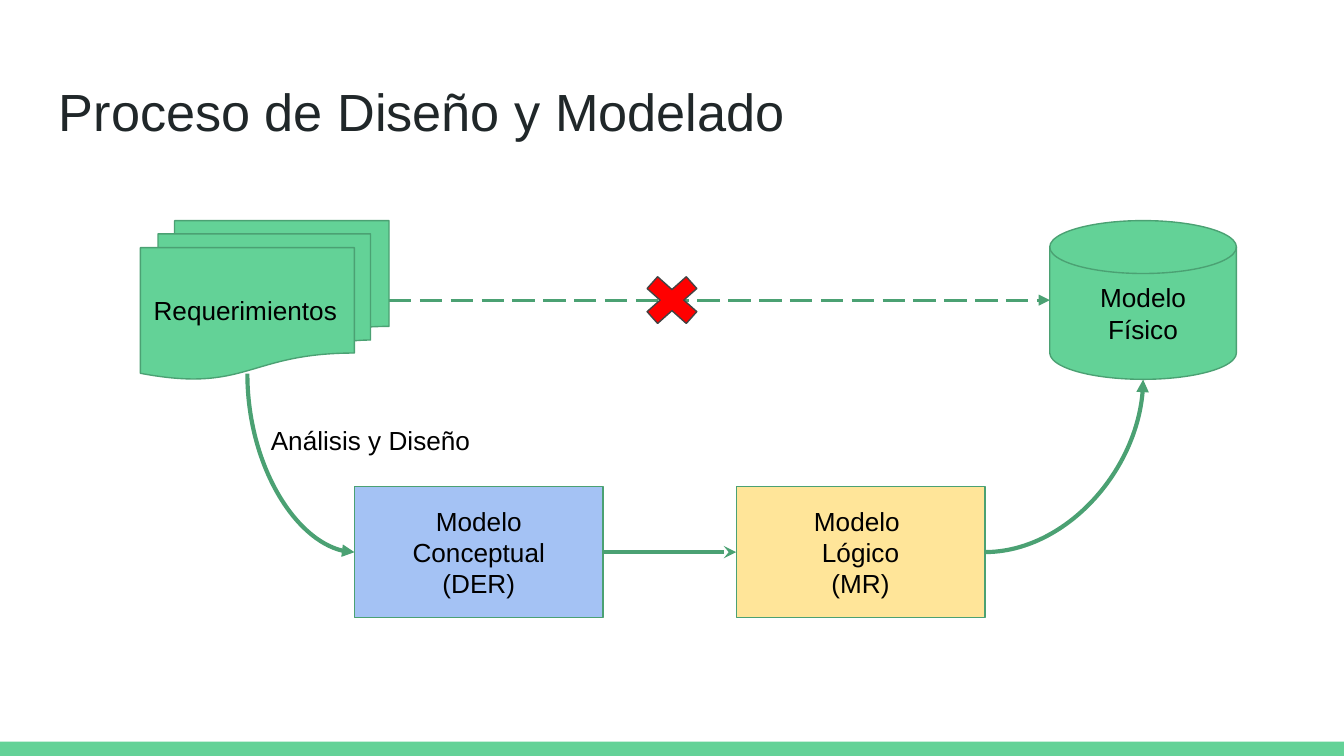
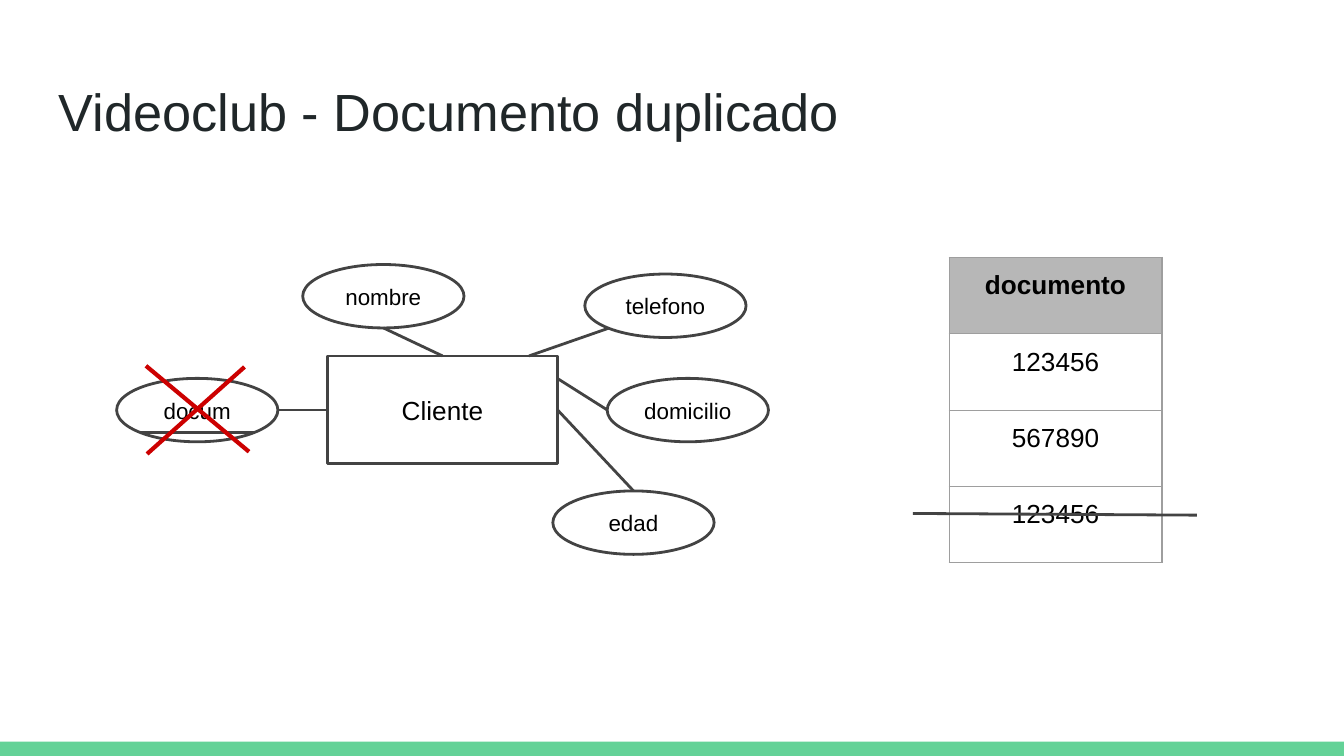
from lxml import etree
from pptx import Presentation
from pptx.dml.color import RGBColor
from pptx.enum.dml import MSO_LINE
from pptx.enum.shapes import MSO_CONNECTOR, MSO_SHAPE
from pptx.enum.text import MSO_ANCHOR, PP_ALIGN
from pptx.oxml.ns import qn
from pptx.util import Pt

RECT = MSO_SHAPE.RECTANGLE
OVAL = MSO_SHAPE.OVAL
DOCUMENTS = MSO_SHAPE.FLOWCHART_MULTIDOCUMENT
DISK = MSO_SHAPE.FLOWCHART_MAGNETIC_DISK
CROSS = MSO_SHAPE.MATH_MULTIPLY
STRAIGHT = MSO_CONNECTOR.STRAIGHT
CURVE = MSO_CONNECTOR.CURVE
LONG_DASH = MSO_LINE.LONG_DASH
MIDDLE = MSO_ANCHOR.MIDDLE
TOP_ANCHOR = MSO_ANCHOR.TOP
CENTER = PP_ALIGN.CENTER
LEFT_ALIGN = PP_ALIGN.LEFT
TOP, LEFT, BOTTOM, RIGHT = range(4)

WIDTH, HEIGHT = 720, 405
BAND_HEIGHT = 7.6
INSET = 7.2
FONT = "Arial"
COLORS = {
    "green": "63D297",
    "dark_green": "4BA173",
    "title": "202729",
    "black": "000000",
    "blue": "A4C2F4",
    "yellow": "FFE599",
    "red": "FF0000",
    "dark_red": "CC0000",
    "gray": "434343",
    "header": "B7B7B7",
    "border": "9E9E9E",
}


def rgb(name):
    return RGBColor.from_string(COLORS[name])


def write(tf, lines, size, color="black", align=CENTER, bold=False):
    for i, line in enumerate(lines):
        p = tf.paragraphs[0] if i == 0 else tf.add_paragraph()
        p.text = line
        p.alignment = align
        for r in p.runs:
            r.font.name = FONT
            r.font.size = Pt(size)
            r.font.bold = bold
            r.font.color.rgb = rgb(color)


def set_frame(tf, anchor):
    tf.word_wrap = True
    tf.vertical_anchor = anchor
    tf.margin_left = tf.margin_right = Pt(INSET)
    tf.margin_top = tf.margin_bottom = Pt(INSET)


def add_text(s, box, text, size, color="black"):
    sp = s.shapes.add_textbox(*map(Pt, box))
    set_frame(sp.text_frame, TOP_ANCHOR)
    write(sp.text_frame, [text], size, color, LEFT_ALIGN)


def add_node(s, kind, box, lines=(), fill=None, line=None, weight=0.75,
             size=14, align=CENTER):
    sp = s.shapes.add_shape(kind, *map(Pt, box))
    sp.shadow.inherit = False
    if fill:
        sp.fill.solid()
        sp.fill.fore_color.rgb = rgb(fill)
    else:
        sp.fill.background()
    if line:
        sp.line.color.rgb = rgb(line)
        sp.line.width = Pt(weight)
    else:
        sp.line.fill.background()
    set_frame(sp.text_frame, MIDDLE)
    write(sp.text_frame, lines, size, align=align)
    return sp


def add_line(s, start, end, color="gray", weight=1.5, head=None, dash=None,
             kind=STRAIGHT):
    cxn = s.shapes.add_connector(kind, *map(Pt, (*start, *end)))
    cxn.line.color.rgb = rgb(color)
    cxn.line.width = Pt(weight)
    if dash:
        cxn.line.dash_style = dash
    sp_pr = cxn._element.spPr
    if head:
        etree.SubElement(sp_pr.find(qn("a:ln")), qn("a:tailEnd"), type=head)
    etree.SubElement(sp_pr, qn("a:effectLst"))
    return cxn


def add_arc(s, start, end, starts_vertical=False):
    if starts_vertical:
        (x1, y1), (x2, y2) = start, end
        cx, cy = (x1 + x2) / 2, (y1 + y2) / 2
        half_w, half_h = (y2 - y1) / 2, (x2 - x1) / 2
        start = (cx + half_w, cy - half_h)
        end = (cx - half_w, cy + half_h)
    cxn = add_line(s, start, end, "dark_green", 2.25, "triangle", kind=CURVE)
    sp_pr = cxn._element.spPr
    sp_pr.find(qn("a:prstGeom")).set("prst", "curvedConnector2")
    if starts_vertical:
        sp_pr.find(qn("a:xfrm")).set("rot", str(270 * 60000))


def add_cell_borders(cell):
    tc_pr = cell._tc.get_or_add_tcPr()
    for side in ("lnL", "lnR", "lnT", "lnB"):
        ln = etree.SubElement(tc_pr, qn(f"a:{side}"), w=str(Pt(0.75)))
        fill = etree.SubElement(ln, qn("a:solidFill"))
        etree.SubElement(fill, qn("a:srgbClr"), val=COLORS["border"])


def add_column_table(s, box, values):
    frame = s.shapes.add_table(len(values), 1, *map(Pt, box))
    table = frame.table
    table.first_row = table.horz_banding = False
    for i, value in enumerate(values):
        cell = table.cell(i, 0)
        cell.margin_left = cell.margin_right = Pt(INSET)
        cell.margin_top = cell.margin_bottom = Pt(INSET)
        add_cell_borders(cell)
        if i == 0:
            cell.fill.solid()
            cell.fill.fore_color.rgb = rgb("header")
        else:
            cell.fill.background()
        write(cell.text_frame, [value], 14, bold=i == 0)


def add_slide(prs, title):
    s = prs.slides.add_slide(prs.slide_layouts[6])
    add_node(s, RECT, (0, HEIGHT - BAND_HEIGHT, WIDTH, BAND_HEIGHT), fill="green")
    add_text(s, (24.5, 35, 671, 45.1), title, 28, "title")
    return s


def build_process(prs):
    s = add_slide(prs, "Proceso de Diseño y Modelado")
    add_node(s, DOCUMENTS, (75.2, 118.2, 133.2, 85), ["Requerimientos"],
             "green", "dark_green", align=LEFT_ALIGN)
    logical = add_node(s, RECT, (394.4, 260.7, 133.2, 70.2),
                       ["Modelo \vLógico", "(MR)"], "yellow", "dark_green")
    conceptual = add_node(s, RECT, (189.9, 260.7, 133.2, 70.2),
                          ["Modelo Conceptual", "(DER)"], "blue", "dark_green")
    add_arc(s, (132.5, 200.2), (189.9, 295.8), starts_vertical=True)
    step = add_line(s, (323.1, 295.8), (394.4, 295.8), "dark_green", 2.25, "stealth")
    step.begin_connect(conceptual, RIGHT)
    step.end_connect(logical, LEFT)
    add_node(s, DISK, (562.4, 118.2, 100, 85), ["Modelo", "Físico"],
             "green", "dark_green")
    add_arc(s, (527.6, 295.8), (612.4, 203.4))
    add_line(s, (208.4, 160.8), (562.4, 160.8), "dark_green", 1.5, "triangle",
             LONG_DASH)
    cross = add_node(s, CROSS, (339.8, 142.8, 40.4, 36), fill="red", line="gray")
    cross.adjustments[0] = 0.235
    add_text(s, (138, 220.3, 564, 65.5), "Análisis y Diseño", 14)


def build_duplicate(prs):
    s = add_slide(prs, "Videoclub - Documento duplicado")
    client = add_node(s, RECT, (175.5, 190.7, 123.2, 57.8), ["Cliente"],
                      line="gray", weight=1.5)
    attributes = {
        "docum": (62.5, 202.7),
        "domicilio": (325.3, 202.7),
        "edad": (296.2, 263),
        "telefono": (313.3, 146.8),
        "nombre": (162.2, 141.7),
    }
    for name, corner in attributes.items():
        add_node(s, OVAL, (*corner, 86.4, 34), [name], line="gray", weight=1.5,
                 size=12)
    joined = [
        ((148.9, 219.6), (175.5, 219.6), LEFT),
        ((339.4, 263), (298.7, 219.6), RIGHT),
        ((205.4, 175.7), (237.1, 190.7), TOP),
    ]
    for start, end, side in joined:
        add_line(s, start, end).end_connect(client, side)
    add_line(s, (299, 203), (325.3, 219.6))
    add_line(s, (283.4, 190.7), (326.2, 175.8))
    add_line(s, (75, 231.7), (136, 231.7))
    add_column_table(s, (508.5, 138, 114, 163.6),
                     ["documento", "123456", "567890", "123456"])
    add_line(s, (489.1, 275.1), (641.2, 276))
    add_line(s, (78.2, 196), (133.4, 242), "dark_red", 2.25)
    add_line(s, (131, 196.6), (78.8, 243.2), "dark_red", 2.25)


def main():
    prs = Presentation()
    prs.slide_width, prs.slide_height = Pt(WIDTH), Pt(HEIGHT)
    build_process(prs)
    build_duplicate(prs)
    prs.save("out.pptx")


if __name__ == "__main__":
    main()
